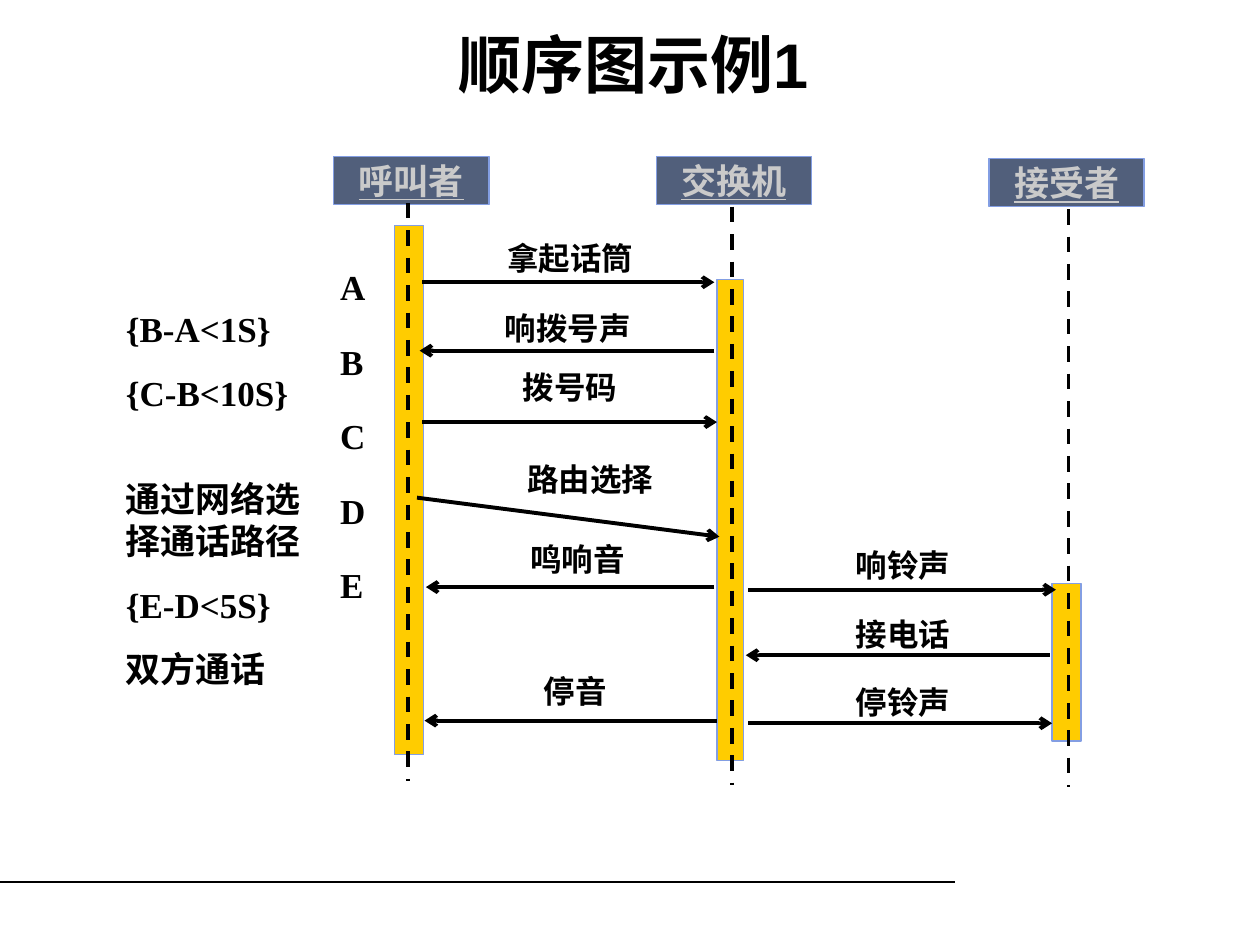
from lxml.etree import SubElement as Sub
from pptx import Presentation as Deck
from pptx.dml.color import RGBColor as Rgb
from pptx.enum.dml import MSO_LINE as Dash
from pptx.enum.shapes import MSO_CONNECTOR as Conn, MSO_SHAPE as Kind
from pptx.enum.text import MSO_ANCHOR as Anchor, PP_ALIGN as Align
from pptx.oxml.ns import qn
from pptx.util import Pt

HUES = {"ink": "000000", "head": "515F7B", "edge": "839EE3", "bar": "FFCC00", "pale": "CACACA"}
SERIF = "Times New Roman"

ACTORS = [
    ("呼叫者", (190.8, 89.3), (225.4, 128.9, 16.6, 302.4), (233.3, 115.9)),
    ("交换机", (375.1, 89.3), (409.7, 159.8, 15.1, 275), (418.3, 118.1)),
    ("接受者", (565.2, 90.7), (601.2, 333.4, 16.6, 90), (610.6, 119.5)),
]
CALLS = [
    ("拿起话筒", (262.8, 133.2), (241.2, 161.3, 408.2, 161.3)),
    ("响拨号声", (261.4, 172.8), (408.2, 200.4, 239.8, 200.4)),
    ("拨号码", (262.8, 206.6), (241.2, 241.2, 409.7, 241.2)),
    ("路由选择", (274.3, 259.2), (238.3, 284.4, 411.1, 306.7)),
    ("鸣响音", (267.1, 305.3), (408.2, 335.5, 243.4, 335.5)),
    ("停音", (265.7, 380.2), (409.7, 411.8, 242.6, 411.8)),
    ("响铃声", (452.9, 308.2), (427.7, 337, 603.4, 337)),
    ("接电话", (452.9, 347.8), (599.8, 374.4, 426.2, 374.4)),
    ("停铃声", (452.9, 386.6), (427.7, 413.3, 601.2, 413.3)),
]
NOTES = ["{B-A<1S}", "{C-B<10S}", "通过网络选择通话路径", "{E-D<5S}", "双方通话"]
GAPS = [0, 12.5, 36.5, 12.5, 12.5]


def write(frame, text, size=20, font=SERIF, hue="ink", line=False,
          align=Align.LEFT, lead=None, gaps=()):
    for i, row in enumerate(text.split("\n")):
        para = frame.paragraphs[0] if i == 0 else frame.add_paragraph()
        para.alignment = align
        if lead:
            para.line_spacing = lead
        if i and gaps:
            para.space_before = Pt(gaps[i])
        run = para.add_run()
        run.text = row
        face = run.font
        face.name, face.size, face.bold = font, Pt(size), True
        face.underline = line
        face.color.rgb = Rgb.from_string(HUES[hue])


class Board:
    def __init__(self):
        self.deck = Deck()
        self.deck.slide_width, self.deck.slide_height = Pt(720), Pt(540)
        self.slide = self.deck.slides.add_slide(self.deck.slide_layouts[6])

    def rect(self, x, y, w, h, hue):
        box = self.slide.shapes.add_shape(Kind.RECTANGLE, Pt(x), Pt(y), Pt(w), Pt(h))
        box.shadow.inherit = False
        box.fill.solid()
        box.fill.fore_color.rgb = Rgb.from_string(HUES[hue])
        box.line.color.rgb = Rgb.from_string(HUES["edge"])
        box.line.width = Pt(0.75)
        return box

    def head(self, text, x, y):
        frame = self.rect(x, y, 88.6, 27.4, "head").text_frame
        frame.word_wrap = False
        frame.vertical_anchor = Anchor.MIDDLE
        write(frame, text, hue="pale", line=True, align=Align.CENTER)

    def text(self, text, x, y, w, h, anchor=Anchor.TOP, **style):
        frame = self.slide.shapes.add_textbox(Pt(x), Pt(y), Pt(w), Pt(h)).text_frame
        frame.word_wrap = True
        frame.vertical_anchor = anchor
        write(frame, text, **style)

    def line(self, x1, y1, x2, y2, width=2.25, dash=None, arrow=False):
        link = self.slide.shapes.add_connector(Conn.STRAIGHT, Pt(x1), Pt(y1), Pt(x2), Pt(y2))
        pen = link.line
        pen.color.rgb = Rgb.from_string(HUES["ink"])
        pen.width = Pt(width)
        if dash:
            pen.dash_style = dash
        props = link._element.spPr
        if arrow:
            Sub(props.find(qn("a:ln")), qn("a:tailEnd"), type="arrow")
        Sub(props, qn("a:effectLst"))


def main():
    board = Board()
    board.line(0, 504, 545.8, 504, width=0.75)
    for name, head, bar, life in ACTORS:
        board.rect(*bar, "bar")
        board.head(name, *head)
    for text, spot, ends in CALLS:
        board.line(*ends, arrow=True)
        board.text(text, *spot, 126, 28.8, size=18, align=Align.CENTER)
    board.text("\n".join("ABCDE"), 187.2, 144.7, 49.7, 205.2, lead=1.15, gaps=[15] * 5)
    board.text("\n".join(NOTES), 64.8, 172.3, 128.9, 259, gaps=GAPS)
    for name, head, bar, (x, y) in ACTORS:
        board.line(x, y, x, y + 330.3, dash=Dash.DASH)
    board.text("顺序图示例1", 36, 18, 651.6, 36, Anchor.MIDDLE,
               size=36, font="Arial", align=Align.CENTER)
    board.deck.save("out.pptx")


if __name__ == "__main__":
    main()
